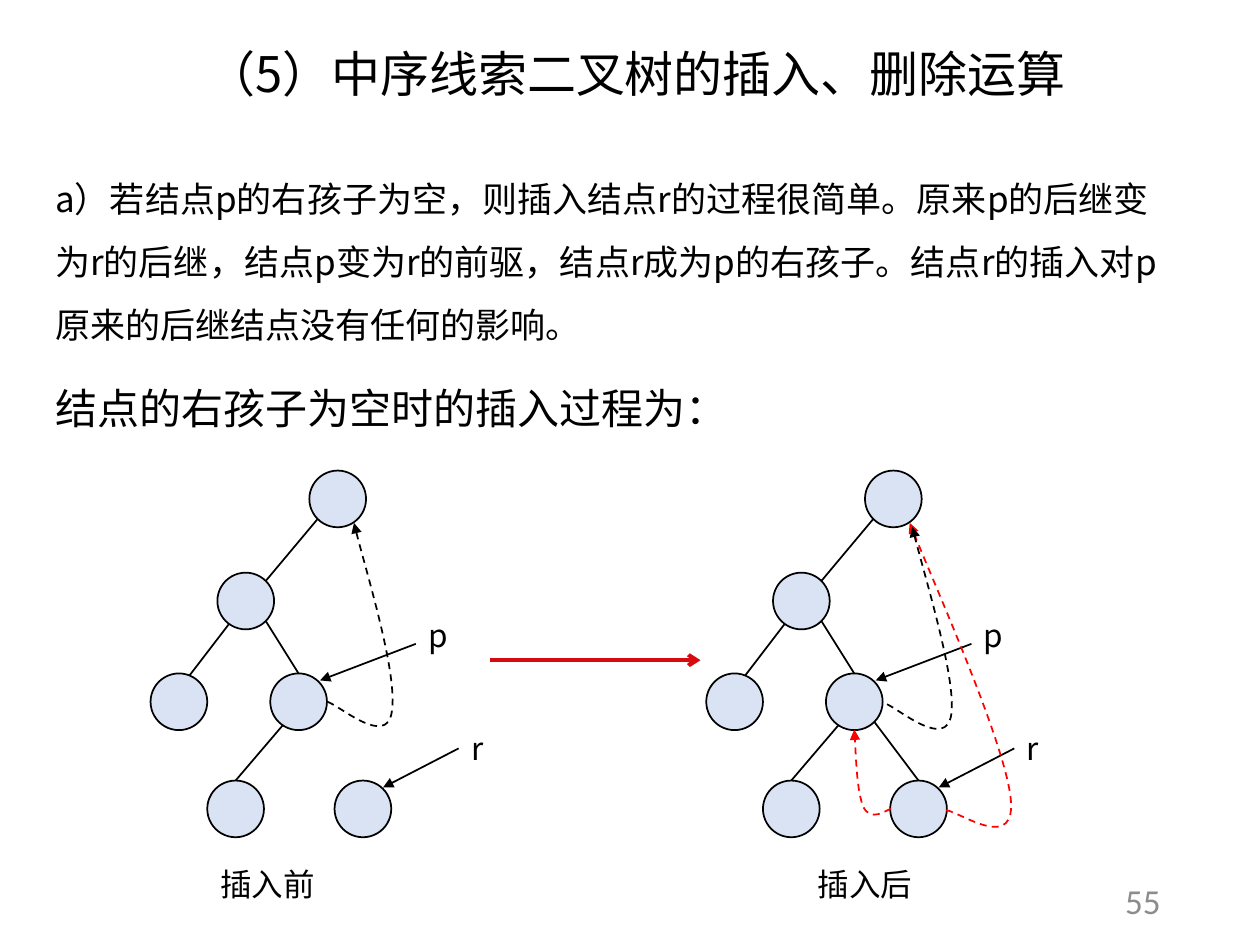
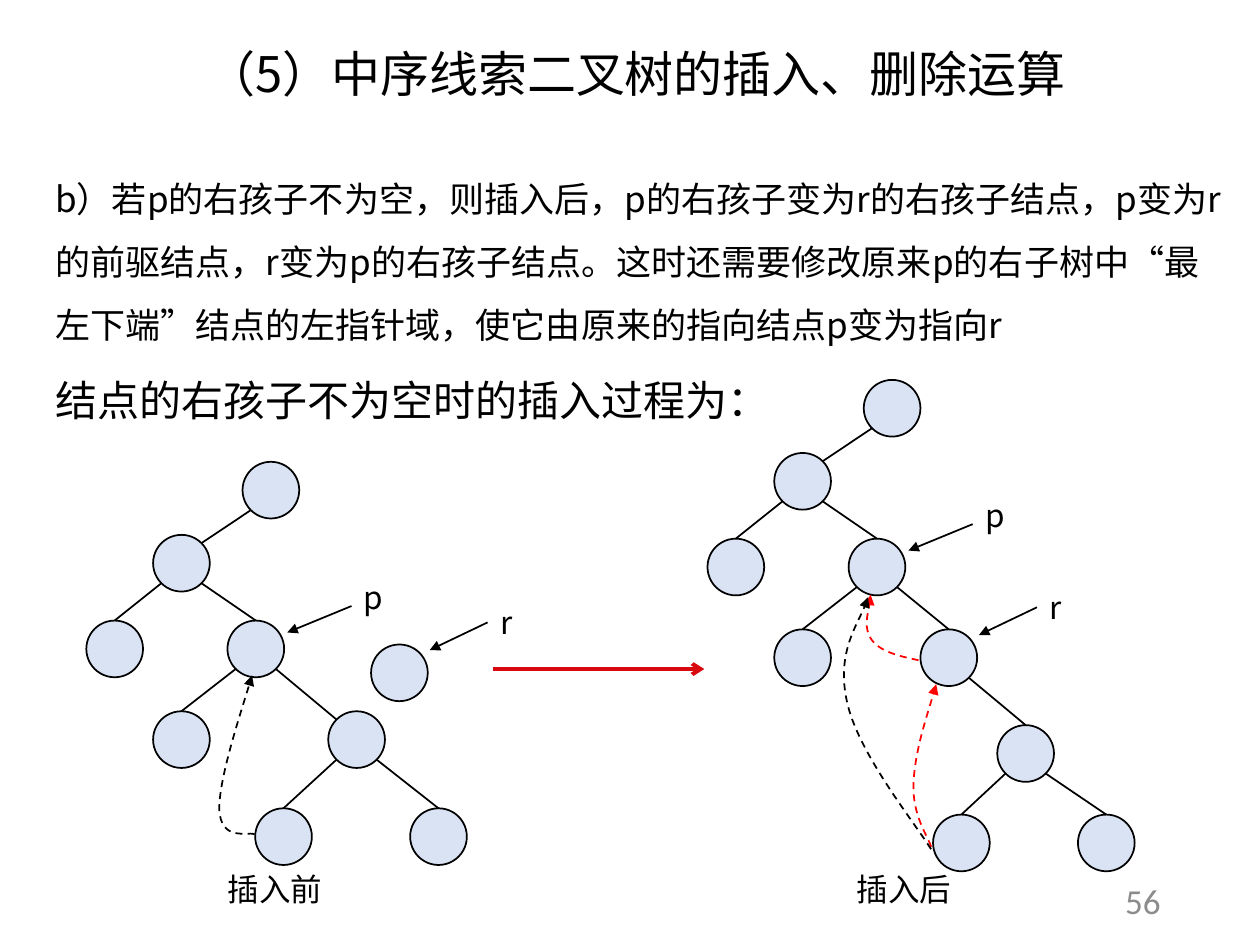
import math
from lxml import etree
from pptx import Presentation
from pptx import util as u
from pptx.dml.color import RGBColor
from pptx.enum import dml, shapes, text
from pptx.oxml.ns import qn

COLORS = {"ink": "000000", "node": "DAE3F3", "thread": "FF0000", "step": "D8090F", "number": "8C8C8C"}
CJK, LATIN = "Noto Sans CJK SC", "Calibri"
TITLE = "（5）中序线索二叉树的插入、删除运算"
DIAMETER = 0.45
LABEL_RISE = {"p": 0.27, "r": 0.2}

SIMPLE_NODES = {"root": (0, 0), "left": (-0.73, 0.81), "leaf": (-1.26, 1.61), "p": (-0.31, 1.61),
                "low": (-0.81, 2.46), "r": (0.2, 2.46)}
SIMPLE_EDGES = [("root", "left", 225, 45), ("left", "leaf", 216, 22), ("left", "p", 135, 0),
                ("p", "low", 214, 0)]
UPPER_NODES = {"root": (0, 0), "left": (-0.71, 0.58), "leaf": (-1.24, 1.26), "p": (-0.12, 1.26),
               "low": (-0.71, 1.98)}
UPPER_EDGES = [("root", "left", 225, 45), ("left", "leaf", 225, 0), ("left", "p", 135, 0),
               ("p", "low", 225, 0), ("right", "right_l", 225, 0), ("right", "right_r", 135, 0)]

SLIDES = [
    {
        "number": "55",
        "body": ("a）若结点p的右孩子为空，则插入结点r的过程很简单。原来p的后继变为r的后继，结点p变为r的前驱，"
                 "结点r成为p的右孩子。结点r的插入对p原来的后继结点没有任何的影响。", 8.97),
        "lead": ("结点的右孩子为空时的插入过程为：", 2.79),
        "pointers": {"p": ((0.93, -0.46), (0.17, -0.17)), "r": ((0.76, -0.48), (0.16, -0.17))},
        "step": (3.89, 5.56, 5.24),
        "trees": [
            {"root": (2.68, 3.96), "nodes": SIMPLE_NODES, "edges": SIMPLE_EDGES,
             "caption": ("插入前", 1.65, 6.82),
             "threads": [("ink", [(2.6, 5.57), (2.71, 5.61), (3.07, 5.93), (3.11, 5.65),
                                  (3.16, 5.36), (2.88, 4.45), (2.81, 4.15)])]},
            {"root": (7.09, 3.96), "nodes": SIMPLE_NODES, "edges": SIMPLE_EDGES + [("p", "r", 135, 0)],
             "caption": ("插入后", 6.39, 6.82),
             "threads": [("thread", [(7.07, 6.42), (7.03, 6.43), (6.91, 6.53), (6.85, 6.4),
                                     (6.8, 6.27), (6.79, 5.91), (6.78, 5.79)]),
                         ("thread", [(7.51, 6.43), (7.63, 6.45), (8.08, 6.78), (8.02, 6.32),
                                     (7.96, 5.86), (7.39, 4.58), (7.22, 4.15)]),
                         ("ink", [(7.04, 5.59), (7.15, 5.64), (7.51, 5.95), (7.55, 5.67),
                                  (7.59, 5.39), (7.31, 4.48), (7.24, 4.18)])]},
        ],
    },
    {
        "number": "56",
        "body": ("b）若p的右孩子不为空，则插入后，p的右孩子变为r的右孩子结点，p变为r的前驱结点，r变为p的右孩子结点。"
                 "这时还需要修改原来p的右子树中“最左下端”结点的左指针域，使它由原来的指向结点p变为指向r", 9.47),
        "lead": ("结点的右孩子不为空时的插入过程为：", 2.72),
        "pointers": {"p": ((0.76, -0.34), (0.25, -0.13)), "r": ((0.7, -0.4), (0.24, -0.18))},
        "step": (3.91, 5.59, 5.31),
        "trees": [
            {"root": (2.15, 3.89),
             "nodes": {**UPPER_NODES, "right": (0.68, 1.98), "right_l": (0.1, 2.75),
                       "right_r": (1.33, 2.75), "r": (1.02, 1.45)},
             "edges": UPPER_EDGES + [("p", "right", 135, 315)],
             "caption": ("插入前", 1.71, 6.86),
             "threads": [("ink", [(2.02, 6.62), (1.96, 6.6), (1.75, 6.68), (1.74, 6.42),
                                  (1.74, 6.17), (1.94, 5.57), (2, 5.36)])]},
            {"root": (7.08, 3.24),
             "nodes": {**UPPER_NODES, "r": (0.45, 1.98), "right": (1.06, 2.74),
                       "right_l": (0.55, 3.45), "right_r": (1.7, 3.45)},
             "edges": UPPER_EDGES + [("p", "r", 135, 0), ("r", "right", 135, 0)],
             "caption": ("插入后", 6.7, 6.86),
             "threads": [("thread", [(7.29, 5.24), (7.21, 5.22), (7, 5.19), (6.92, 5.08),
                                     (6.85, 4.98), (6.91, 4.79), (6.91, 4.72)]),
                         ("thread", [(7.39, 6.72), (7.36, 6.63), (7.24, 6.47), (7.25, 6.22),
                                     (7.26, 5.96), (7.39, 5.58), (7.43, 5.43)]),
                         ("ink", [(7.39, 6.74), (7.26, 6.53), (6.83, 6), (6.73, 5.6),
                                  (6.63, 5.2), (6.85, 4.89), (6.89, 4.74)])]},
        ],
    },
]


def rgb(name):
    return RGBColor.from_string(COLORS[name])


def inches(*lengths):
    return [u.Inches(n) for n in lengths]


def shift(point, offset):
    return point[0] + offset[0], point[1] + offset[1]


def on_rim(center, degrees):
    angle = math.radians(degrees)
    return shift(center, (DIAMETER / 2 * math.sin(angle), -DIAMETER / 2 * math.cos(angle)))


def add_text(s, words, box, size, spacing=None, font=CJK, color="ink", number=False):
    tf = s.shapes.add_textbox(*inches(*box)).text_frame
    tf.word_wrap = True
    tf.auto_size = text.MSO_AUTO_SIZE.NONE if number else text.MSO_AUTO_SIZE.SHAPE_TO_FIT_TEXT
    p = tf.paragraphs[0]
    p.add_run().text = words
    if number:
        tf.vertical_anchor = text.MSO_ANCHOR.MIDDLE
        p.alignment = text.PP_ALIGN.RIGHT
    if spacing:
        p.line_spacing = spacing
    p.font.size = u.Pt(size)
    p.font.name = font
    p.font.color.rgb = rgb(color)
    etree.SubElement(p._p.pPr.find(qn("a:defRPr")), qn("a:ea"), typeface=font)


def style_line(sp, color, width=1, head=None):
    sp.line.color.rgb = rgb(color)
    sp.line.width = u.Pt(width)
    if head:
        etree.SubElement(sp.line._get_or_add_ln(), qn("a:tailEnd"), type=head)


def add_line(s, start, end, color="ink", width=1, head=None):
    line = s.shapes.add_connector(shapes.MSO_CONNECTOR.STRAIGHT, *inches(*start, *end))
    style_line(line, color, width, head)
    etree.SubElement(line._element.spPr, qn("a:effectLst"))


def add_node(s, center):
    corner = shift(center, (-DIAMETER / 2, -DIAMETER / 2))
    sp = s.shapes.add_shape(shapes.MSO_SHAPE.OVAL, *inches(*corner, DIAMETER, DIAMETER))
    sp.shadow.inherit = False
    sp.fill.solid()
    sp.fill.fore_color.rgb = rgb("node")
    style_line(sp, "ink")


def add_thread(s, color, points):
    start, *rest = [tuple(inches(*point)) for point in points]
    builder = s.shapes.build_freeform(*start)
    builder.add_line_segments(rest, close=False)
    sp = builder.convert_to_shape()
    sp.shadow.inherit = False
    sp.fill.background()
    sp.line.dash_style = dml.MSO_LINE.DASH
    style_line(sp, color, head="triangle")
    outline = next(sp._element.iter(qn("a:path")))
    segments = outline.findall(qn("a:lnTo"))
    for i in range(0, len(segments), 3):
        curve = etree.SubElement(outline, qn("a:cubicBezTo"))
        for segment in segments[i:i + 3]:
            curve.append(segment[0])
            outline.remove(segment)


def add_tree(s, tree, pointers):
    centers = {name: shift(tree["root"], offset) for name, offset in tree["nodes"].items()}
    for center in centers.values():
        add_node(s, center)
    for parent, child, leave, arrive in tree["edges"]:
        add_line(s, on_rim(centers[parent], leave), on_rim(centers[child], arrive))
    for name, (start, tip) in pointers.items():
        x, y = shift(centers[name], start)
        add_line(s, (x, y), shift(centers[name], tip), head="triangle")
        add_text(s, name, (x, y - LABEL_RISE[name], 0.35, 0.4), 18)
    for thread in tree["threads"]:
        add_thread(s, *thread)
    caption, left, top = tree["caption"]
    add_text(s, caption, (left, top, 1.99, 0.4), 18)


def add_slide(prs, content):
    s = prs.slides.add_slide(prs.slide_layouts[6])
    add_text(s, content["number"], (7.06, 6.95, 2.25, 0.4), 20, font=LATIN, color="number", number=True)
    body, width = content["body"]
    add_text(s, body, (0.34, 1.19, width, 1.61), 20, 1.5)
    lead, top = content["lead"]
    add_text(s, lead, (0.34, top, 8.97, 0.71), 24, 1.5)
    for tree in content["trees"]:
        add_tree(s, tree, content["pointers"])
    left, right, y = content["step"]
    add_line(s, (left, y), (right, y), "step", 2.25, "arrow")
    add_text(s, TITLE, (1.54, 0.06, 7.44, 0.72), 28, 1.5)


def main():
    prs = Presentation()
    prs.slide_width, prs.slide_height = inches(10, 7.5)
    for content in SLIDES:
        add_slide(prs, content)
    prs.save("out.pptx")


if __name__ == "__main__":
    main()
